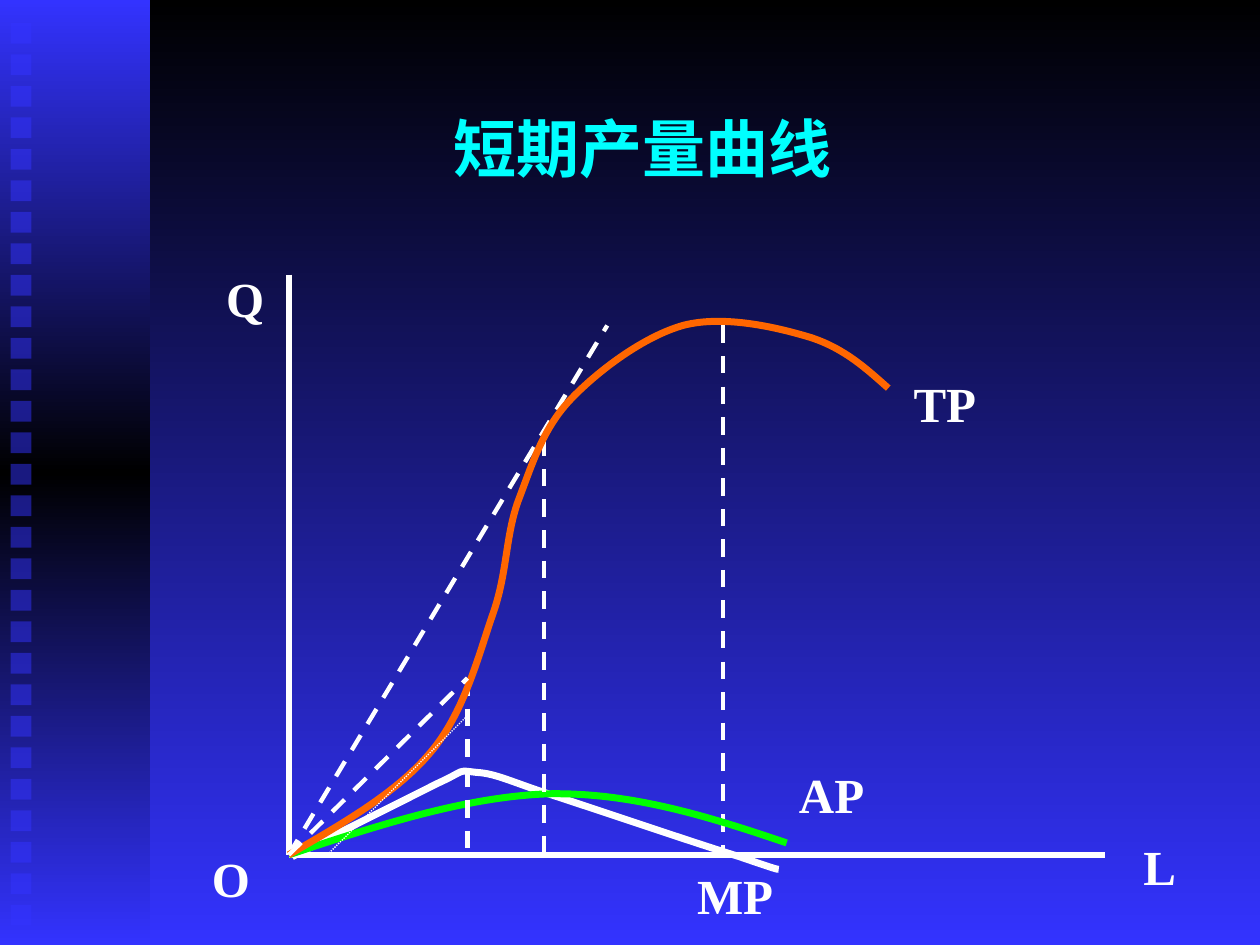
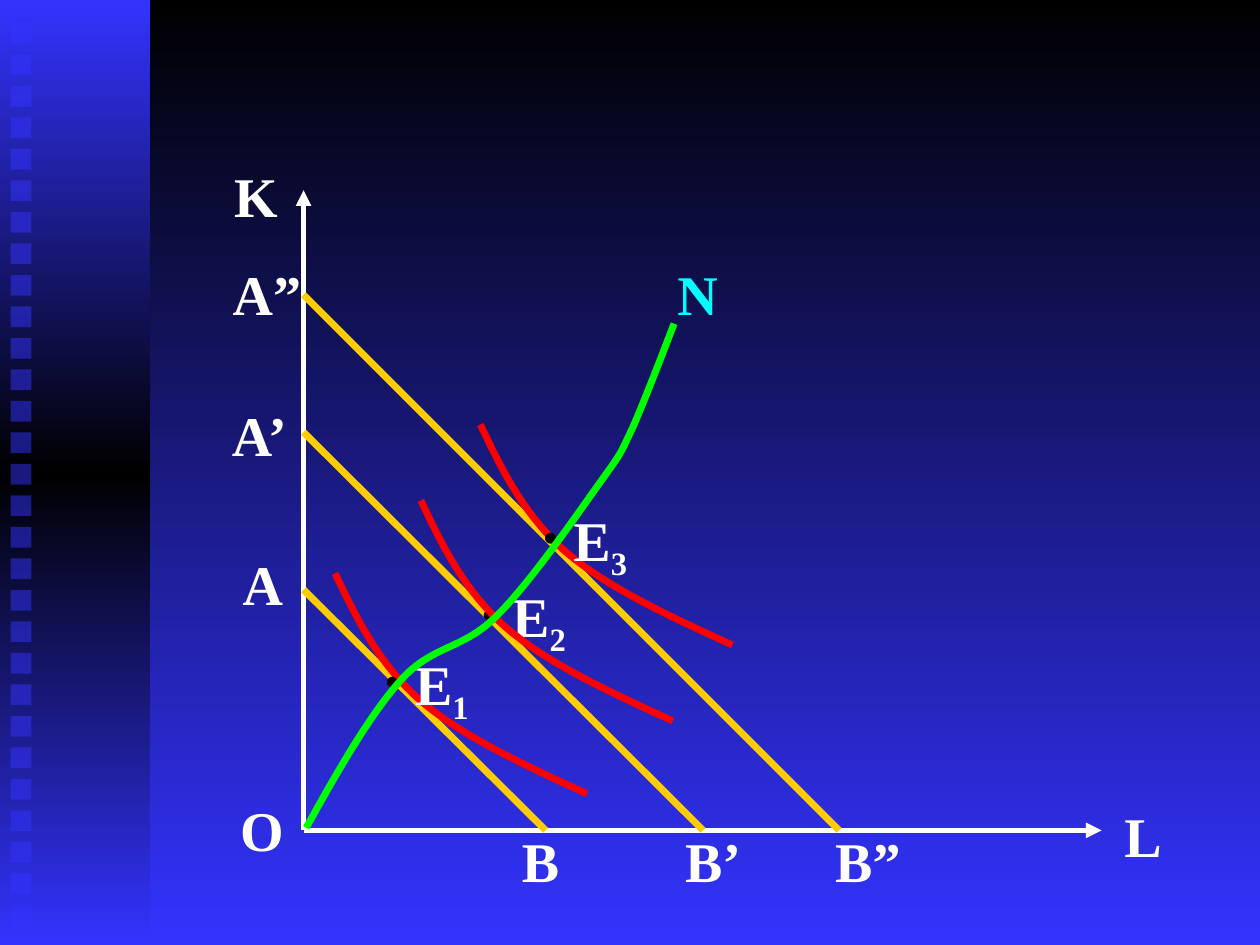
from lxml import etree
from copy import deepcopy

from pptx import Presentation
from pptx.dml.color import RGBColor
from pptx.enum import dml, shapes, text
from pptx.oxml.ns import qn
from pptx.util import Pt

BLACK = RGBColor(0x00, 0x00, 0x00)
BLUE = RGBColor(0x33, 0x33, 0xFF)
WHITE = RGBColor(0xFF, 0xFF, 0xFF)
CYAN = RGBColor(0x00, 0xFF, 0xFF)
GREEN = RGBColor(0x00, 0xFF, 0x00)
ORANGE = RGBColor(0xFF, 0x66, 0x00)
RED = RGBColor(0xFF, 0x00, 0x00)
GOLD = RGBColor(0xFF, 0xCC, 0x00)

LEFT, MID, RIGHT = text.PP_ALIGN.LEFT, text.PP_ALIGN.CENTER, text.PP_ALIGN.RIGHT
DASH, DOT = dml.MSO_LINE.DASH, dml.MSO_LINE.ROUND_DOT


def add(parent, tag, **attrs):
    return etree.SubElement(parent, qn(tag), attrs)


def shade(fill, owner, colors):
    """Fill from top to bottom with evenly spaced colours."""
    fill.gradient()
    fill.gradient_angle = 270
    stops = next(owner.iter(qn("a:gsLst")))
    while len(stops) < len(colors):
        stops.append(deepcopy(stops[0]))
    for i, (stop, color) in enumerate(zip(fill.gradient_stops, colors)):
        stop.color.rgb = color
        stop.position = i / (len(colors) - 1)


class Deck:
    """Holds the style, the file and the current slide."""
    font = {"name": "Times New Roman", "bold": True}

    def __init__(self):
        self.prs = Presentation()
        self.prs.slide_width, self.prs.slide_height = Pt(720), Pt(540)
        self.dressed = False

    def page(self, size):
        """Start a slide whose labels have the given text size."""
        self.size = size
        slide = self.prs.slides.add_slide(self.prs.slide_layouts[6])
        self.shapes = slide.shapes
        if not self.dressed:
            self.dress()

    def dress(self):
        """Give the master its background and side band."""
        self.dressed = True
        master = self.prs.slide_master
        shade(master.background.fill, master.element, (BLACK, BLUE))
        group = self.shapes.add_group_shape()
        band = self.rect(group, 0, 0, 85.7, 540)
        shade(band.fill, band.element, (BLUE, BLACK, BLUE))
        for i in range(29):
            box = self.rect(group, 6, 13 + 18 * i, 12, 12)
            box.fill.solid()
            box.fill.fore_color.rgb = BLUE
            color = next(box.element.spPr.iter(qn("a:srgbClr")))
            add(color, "a:alpha", val="50000")
        for i, item in enumerate(group.element.iter(qn("p:cNvPr"))):
            item.set("id", str(100 + i))
        master.element.cSld.spTree.append(group.element)

    def rect(self, group, *at):
        box = group.shapes.add_shape(shapes.MSO_SHAPE.RECTANGLE, *map(Pt, at))
        box.shadow.inherit = False
        box.line.fill.background()
        return box

    def label(self, words, x, y, w, h=46, align=MID, sub="", dot=False,
              tabs=(), **style):
        """Text box, with an optional subscript, black bullet and tab stops."""
        box = self.shapes.add_textbox(*map(Pt, (x, y, w, h)))
        box.text_frame.word_wrap = True
        para = box.text_frame.paragraphs[0]
        para.alignment = align
        props = para._p.get_or_add_pPr()
        if dot:
            props.set("marL", str(Pt(17)))
            props.set("indent", str(Pt(-17)))
            add(add(props, "a:buClr"), "a:srgbClr", val=str(BLACK))
            add(props, "a:buSzPct", val="75000")
            add(props, "a:buChar", char="•")
        if tabs:
            stops = add(props, "a:tabLst")
            for pos in tabs:
                add(stops, "a:tab", pos=str(Pt(pos)), algn="l")
        color = style.pop("color", WHITE)
        for part in filter(None, (words, sub)):
            run = para.add_run()
            run.text = part
            for key, val in {**self.font, "size": Pt(self.size), **style}.items():
                setattr(run.font, key, val)
            run.font.color.rgb = color
        if sub:
            run._r.get_or_add_rPr().set("baseline", "-25000")
        return box

    def title(self, words):
        box = self.label(words, 192, 39.4, 350, 90, size=Pt(36), color=CYAN)
        box.text_frame.vertical_anchor = text.MSO_ANCHOR.MIDDLE

    def line(self, start, end, width, color=WHITE, dash=None, arrow=False):
        link = self.shapes.add_connector(shapes.MSO_CONNECTOR.STRAIGHT,
                                         *map(Pt, (*start, *end)))
        self.pen(link, width, color, dash)
        if arrow:
            add(link.line._get_or_add_ln(), "a:tailEnd", type="triangle")
        add(link._element.spPr, "a:effectLst")

    def curve(self, color, start, *parts):
        """Joined cubic curves; each part is two handles and an end."""
        pen = self.shapes.build_freeform(*map(Pt, start))
        pen.add_line_segments([tuple(map(Pt, p)) for part in parts for p in part],
                              close=False)
        shape = pen.convert_to_shape()
        outline = next(shape.element.iter(qn("a:pathLst")))[0]
        steps = outline.findall(qn("a:lnTo"))
        for i in range(0, len(steps), 3):
            bend = add(outline, "a:cubicBezTo")
            for step in steps[i:i + 3]:
                bend.append(step[0])
                outline.remove(step)
        shape.shadow.inherit = False
        shape.fill.background()
        self.pen(shape, 4, color)

    def pen(self, shape, width, color, dash=None):
        shape.line.color.rgb = color
        shape.line.width = Pt(width)
        if dash:
            shape.line.dash_style = dash


def output(deck):
    """Total, average and marginal product in the short run."""
    deck.page(28)
    deck.title("短期产量曲线")
    zero, base = (165, 488.5), 488.5
    deck.curve(WHITE, (167, 489.6),
               ((199.4, 473), (232.6, 456.5), (249.8, 447.8)),
               ((267, 440), (260.6, 440), (272.2, 441.4)),
               ((283.7, 442), (292.3, 447), (317.5, 455)),
               ((342, 463), (401, 483), (422.6, 489.6)),
               ((443.5, 496.8), (444, 496.8), (445, 496.8)))
    deck.line((165, 157), zero, 3.5)
    deck.line(zero, (631.5, base), 3.5)
    deck.line((413, 186), (413, base), 2.5, dash=DASH)
    deck.curve(GREEN, zero,
               ((216, 471.6), (267, 455), (314.6, 453.6)),
               ((362, 453), (406, 467), (449.5, 481.7)))
    for x, y in ((311, 250.5), (267.1, 387.5)):
        deck.line((x, y), (x, base), 2.5, dash=DASH)
    deck.line(zero, (347, 186), 2.5, dash=DASH)
    deck.curve(ORANGE, zero,
               ((195, 471), (226, 453.6), (245.5, 430.6)),
               ((265, 408), (273, 376), (281.5, 351.4)),
               ((290, 327.6), (288.7, 307.4), (296, 286.6)),
               ((303.8, 266.4), (309.6, 246), (325.4, 229)),
               ((341, 212.4), (368, 192), (391, 185.8)),
               ((414, 180), (444, 187), (463.7, 193)),
               ((483, 199.4), (495.4, 211), (507.6, 221.8)))
    deck.line(zero, (267.1, 387.5), 2.5, dash=DASH)
    deck.line((187, base), (267.1, 409), 0.75, dash=DOT)
    for words, x, y, w, align in (
            ("AP", 449.5, 433.5, 53, LEFT), ("TP", 515, 210, 51, LEFT),
            ("MP", 391.2, 491, 59, LEFT), ("Q", 114, 150, 44, RIGHT),
            ("L", 646.3, 474.5, 44, LEFT), ("O", 114, 481.3, 44, LEFT)):
        deck.label(words, x, y, w, 41, align)


def growth(deck):
    """Expansion path through the tangency points."""
    deck.page(32)
    left, base = 173.5, 474.5
    zero = (left, base)
    for end in ((629.5, base), (left, 108.7)):
        deck.line(zero, end, 3, arrow=True)
    for y, x in ((168.5, 479.5), (247, 401.8), (337, 311.8)):
        deck.line((left, y), (x, base), 4, GOLD)

    def point(sub, x, y, w):
        deck.label("E", x, y, w, 51, sub=sub, dot=True)

    point("2", 245.5, 329, 108)
    bend = (((12, 25), (24, 50.5), (48, 72)),
            ((72, 93), (108, 109.5), (144, 126)))
    for x, y in ((274.5, 242.6), (240.5, 286), (191.5, 327.6)):
        deck.curve(RED, (x, y),
                   *[[(x + a, y + b) for a, b in part] for part in bend])
    point("3", 286.5, 285.4, 96)
    point("1", 205, 367.4, 78)
    deck.curve(GREEN, (175, 473),
               ((193, 440.6), (211, 409), (229, 388.8)),
               ((247, 368.6), (264, 371.5), (283, 352.8)),
               ((302.4, 334), (330.5, 293), (343.4, 275)),
               ((356.4, 257), (354, 260), (361.4, 244.8)),
               ((368, 229.7), (376.6, 207.4), (385.2, 185)))
    for words, x, y, w, align in (
            ("L", 617.2, 454.2, 72, MID), ("K", 110.3, 88.5, 72, MID),
            ("A”", 116.5, 144.5, 72, MID), ("A’", 125.4, 225.5, 54, LEFT),
            ("A", 131.6, 310.5, 48, LEFT), ("O", 113.7, 450.8, 72, MID)):
        deck.label(words, x, y, w, align=align)
    deck.label("\tB\tB’\tB”", 227.5, 468.5, 318, align=LEFT,
               tabs=(63.6, 156.9, 242.7))
    deck.label("N", 365.7, 144.5, 66, color=CYAN)


def main():
    deck = Deck()
    output(deck)
    growth(deck)
    deck.prs.save("out.pptx")


if __name__ == "__main__":
    main()
